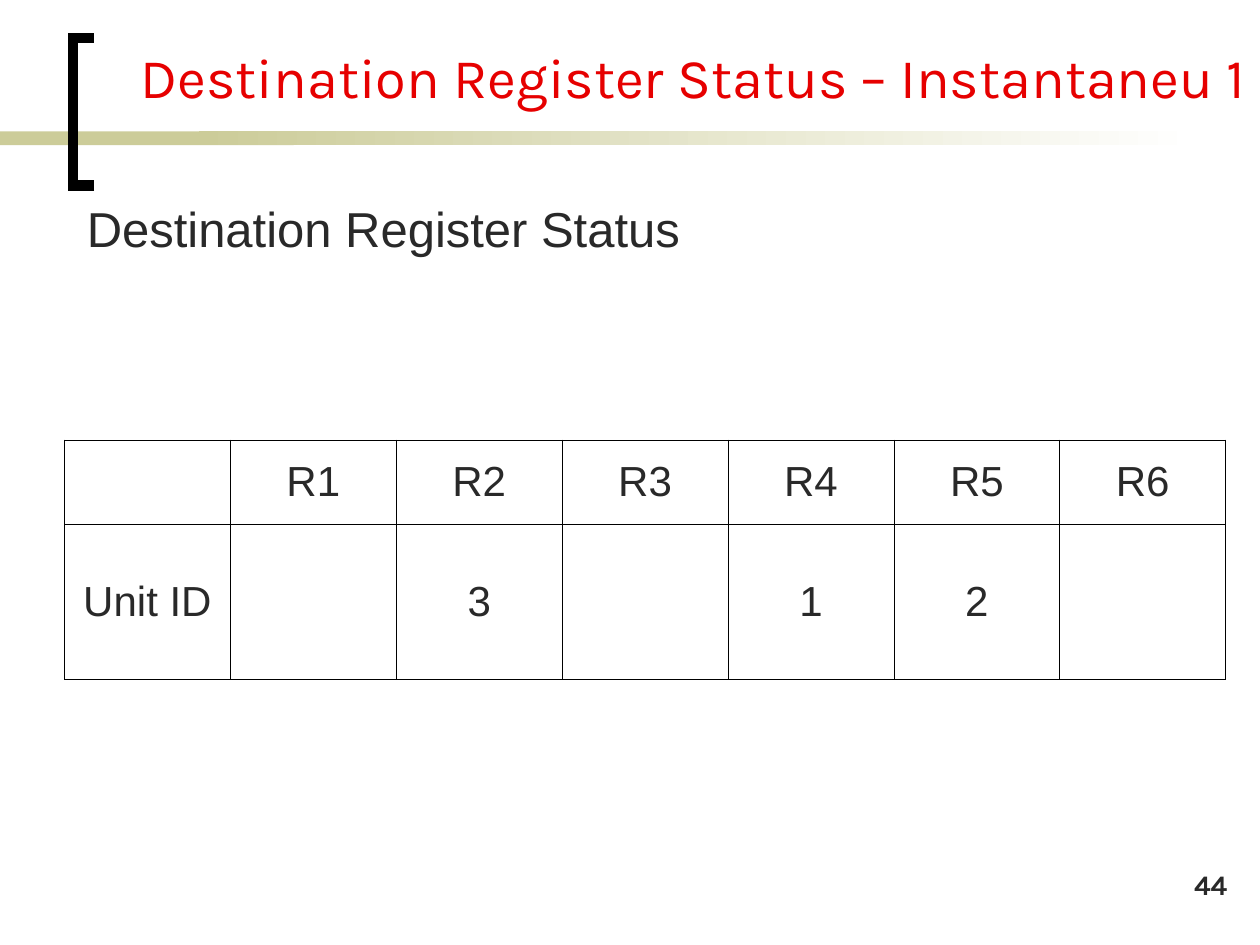
from lxml import etree
from pptx import Presentation
from pptx.dml.color import RGBColor
from pptx.enum.shapes import MSO_SHAPE
from pptx.enum.text import MSO_ANCHOR, MSO_AUTO_SIZE, PP_ALIGN
from pptx.oxml.ns import qn
from pptx.util import Cm, Pt

RECTANGLE = MSO_SHAPE.RECTANGLE
MIDDLE, BOTTOM = MSO_ANCHOR.MIDDLE, MSO_ANCHOR.BOTTOM
LEFT, CENTER, RIGHT = PP_ALIGN.LEFT, PP_ALIGN.CENTER, PP_ALIGN.RIGHT
NO_RESIZE = MSO_AUTO_SIZE.NONE

BLACK, WHITE, OLIVE, RED, DARK = "000000", "FFFFFF", "CCCC99", "E60000", "292929"
REGISTER_ROWS = [
    ["", "R1", "R2", "R3", "R4", "R5", "R6"],
    ["Unit ID", "", "3", "", "1", "2", ""],
]


def color(value):
    return RGBColor.from_string(value)


def write_text(frame, text, size=24, font="Arial", fill=DARK, bold=False, align=LEFT):
    frame.word_wrap = True
    paragraph = frame.paragraphs[0]
    paragraph.alignment = align
    run = paragraph.add_run()
    run.text = text
    run.font.size = Pt(size)
    run.font.name = font
    run.font.bold = bold
    run.font.color.rgb = color(fill)


def add_label(slide, box, text, **text_format):
    label = slide.shapes.add_textbox(*map(Cm, box))
    write_text(label.text_frame, text, **text_format)


def place_title(slide, box, text):
    title = slide.shapes.title
    title.left, title.top, title.width, title.height = map(Cm, box)
    frame = title.text_frame
    frame.auto_size = NO_RESIZE
    frame.vertical_anchor = BOTTOM
    frame.margin_right = 0
    write_text(frame, text, size=32, font="Karla", fill=RED)


def add_bar(slide, left, top, width, height):
    bar = slide.shapes.add_shape(RECTANGLE, Cm(left), Cm(top), Cm(width), Cm(height))
    bar.shadow.inherit = False
    bar.line.fill.background()
    return bar.fill


def draw_header(slide, left, top, width, height):
    bar_top, bar_height = top + 1.88, 0.28
    solid = add_bar(slide, left, bar_top, 5.92, bar_height)
    solid.solid()
    solid.fore_color.rgb = color(OLIVE)

    fade = add_bar(slide, left + 4.01, bar_top, width - 4.01, bar_height)
    fade.gradient()
    fade.gradient_angle = 0
    for stop, value in zip(fade.gradient_stops, (OLIVE, WHITE)):
        stop.color.rgb = color(value)

    inner, outer, bottom = left + 1.9, left + 1.47, top + height
    builder = slide.shapes.build_freeform(Cm(inner), Cm(bottom))
    corners = [(outer, bottom), (outer, top), (inner, top)]
    builder.add_line_segments([(Cm(x), Cm(y)) for x, y in corners], close=False)
    bracket = builder.convert_to_shape()
    bracket.shadow.inherit = False
    bracket.fill.background()
    bracket.line.width = Pt(6)
    bracket.line.color.rgb = color(BLACK)
    line = bracket.line.fill._xPr
    etree.SubElement(line, qn("a:miter"), lim="800000")


def add_borders(cell, width=0.45):
    properties = cell._tc.get_or_add_tcPr()
    for position, side in enumerate(("lnL", "lnR", "lnT", "lnB")):
        line = etree.Element(qn(f"a:{side}"), w=str(int(Pt(width))))
        fill = etree.SubElement(line, qn("a:solidFill"))
        etree.SubElement(fill, qn("a:srgbClr"), val=BLACK)
        properties.insert(position, line)


def add_register_table(slide, left, top, width, row_heights):
    column_count = len(REGISTER_ROWS[0])
    table = slide.shapes.add_table(
        len(REGISTER_ROWS), column_count,
        Cm(left), Cm(top), Cm(width), Cm(sum(row_heights)),
    ).table
    table.first_row = table.horz_banding = False
    for column in table.columns:
        column.width = Cm(width / column_count)
    for row, height, values in zip(table.rows, row_heights, REGISTER_ROWS):
        row.height = Cm(height)
        for cell, value in zip(row.cells, values):
            cell.fill.background()
            cell.vertical_anchor = MIDDLE
            add_borders(cell)
            if value:
                write_text(cell.text_frame, value, align=CENTER)


def main():
    presentation = Presentation()
    presentation.slide_width, presentation.slide_height = Cm(25.4), Cm(19.05)
    slide = presentation.slides.add_slide(presentation.slide_layouts[5])
    draw_header(slide, 0, 0.77, 24.13, 2.97)
    place_title(slide, (2.58, 0.28, 22.82, 2.06),
                "Destination Register Status – Instantaneu 1")
    add_register_table(slide, 1.3, 8.87, 23.41, (1.7, 3.13))
    add_label(slide, (1.5, 3.87, 15.01, 1.45), "Destination Register Status", size=28)
    add_label(slide, (19.71, 17.36, 5.28, 1.27), "44",
              size=16, font="Karla", bold=True, align=RIGHT)
    presentation.save("out.pptx")


if __name__ == "__main__":
    main()
